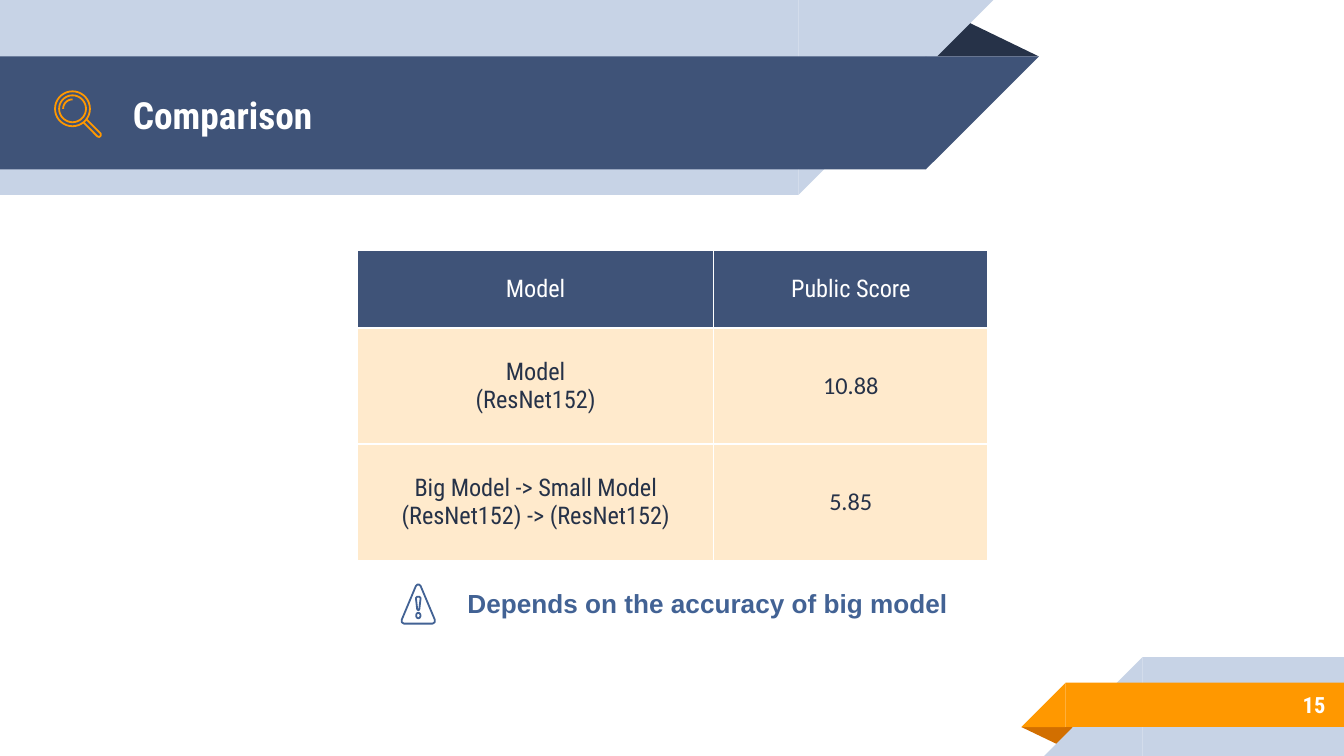
from math import cos, sin, radians
from lxml.etree import SubElement
from pptx import Presentation
from pptx.dml.color import RGBColor
from pptx.enum.shapes import MSO_SHAPE as Form
from pptx.enum.text import MSO_ANCHOR, PP_ALIGN
from pptx.oxml.ns import qn
from pptx.util import Emu, Inches, Pt

NAVY, DARK, PALE = "3F5378", "263248", "C7D3E6"
GOLD, RUST, CREAM = "FF9800", "D26F00", "FFEACC"
BLUE, WHITE = "426294", "FFFFFF"
HEAD, BODY, PLAIN = "Roboto Condensed", "Calibri", "Arial"


def tint(code):
    return RGBColor.from_string(code)


def unit(n):
    """One grid step is a hundredth of the slide's width."""
    return Emu(round(n * Inches(10) / 100))


def arc(x, y, rx, ry, start=0, end=360, step=10):
    return [(x + rx * cos(radians(a)), y + ry * sin(radians(a)))
            for a in range(start, end + 1, step)]


class Deck:
    def __init__(self, cols, rows):
        self.file = Presentation()
        self.file.slide_width, self.file.slide_height = unit(cols), unit(rows)
        self.slide = self.file.slides.add_slide(self.file.slide_layouts[6])
        self.shapes = self.slide.shapes

    def style(self, frame, font, size, color, bold=False, align=PP_ALIGN.LEFT):
        for para in frame.paragraphs:
            para.alignment = align
            for run in para.runs:
                run.font.name, run.font.size = font, Pt(size)
                run.font.bold, run.font.color.rgb = bold, tint(color)

    def shape(self, form, box, color, flip=False, turn=0, peak=None):
        item = self.shapes.add_shape(form, *map(unit, box))
        item.shadow.inherit = False
        item.fill.solid()
        item.fill.fore_color.rgb = tint(color)
        item.line.fill.background()
        item.rotation = turn
        if flip:
            item.element.spPr.xfrm.set("flipH", "1")
        if peak:
            item.adjustments[0] = peak

    def band(self, flat, slope, color, turn=0):
        """A bar with one slanted end."""
        self.shape(Form.RECTANGLE, flat, color, True, turn)
        self.shape(Form.RIGHT_TRIANGLE, slope, color, True, turn)

    def text(self, words, box, font, size, color, inset=1, **look):
        frame = self.shapes.add_textbox(*map(unit, box)).text_frame
        frame.word_wrap = True
        frame.vertical_anchor = MSO_ANCHOR.MIDDLE
        frame.margin_top = frame.margin_bottom = unit(inset)
        frame.text = words
        self.style(frame, font, size, color, True, **look)

    def draw(self, color, *parts, close=True):
        """One outline made of one or more point lists."""
        parts = [[(unit(x), unit(y)) for x, y in part] for part in parts]
        pen = self.shapes.build_freeform(*parts[0][0])
        for n, part in enumerate(parts):
            if n:
                pen.move_to(*part[0])
            pen.add_line_segments(part[1:], close=close)
        item = pen.convert_to_shape()
        item.shadow.inherit = False
        item.fill.background()
        item.line.color.rgb = tint(color)
        item.line.width = Pt(0.96)

    def edge(self, cell):
        props = cell._tc.get_or_add_tcPr()
        for n, side in enumerate(("lnL", "lnR", "lnT", "lnB")):
            line = props.makeelement(qn("a:" + side), {"w": str(Pt(1))})
            fill = SubElement(line, qn("a:solidFill"))
            SubElement(fill, qn("a:srgbClr")).set("val", WHITE)
            props.insert(n, line)

    def table(self, data, spot, cols, rows):
        grid = self.shapes.add_table(len(rows), len(cols), *map(
            unit, (*spot, sum(cols), sum(rows)))).table
        for col, wide in zip(grid.columns, cols):
            col.width = unit(wide)
        for row, tall in zip(grid.rows, rows):
            row.height = unit(tall)
        for r, line in enumerate(data):
            for c, words in enumerate(line):
                cell = grid.cell(r, c)
                cell.fill.solid()
                cell.fill.fore_color.rgb = tint(CREAM if r else NAVY)
                cell.vertical_anchor = MSO_ANCHOR.MIDDLE
                cell.margin_left = cell.margin_right = unit(1.1)
                cell.margin_top = cell.margin_bottom = unit(1.1)
                cell.text_frame.text = words
                self.style(cell.text_frame, BODY if r and c else HEAD, 13,
                           DARK if r else WHITE, align=PP_ALIGN.CENTER)
                self.edge(cell)


def main():
    deck = Deck(100, 56.25)

    # Title ribbon
    deck.shape(Form.ISOSCELES_TRIANGLE, (68.8, 1.4, 8.5, 2.8), DARK, peak=0.32)
    deck.band((0, 0, 59.4, 14.5), (59.4, 0, 14.5, 14.5), PALE, 180)
    deck.band((0, 4.2, 68.9, 8.4), (68.9, 4.2, 8.4, 8.4), NAVY, 180)

    # Page number ribbon
    deck.shape(Form.ISOSCELES_TRIANGLE, (76, 54.1, 4.3, 1.4), RUST,
               turn=180, peak=0.32)
    deck.band((85, 48.9, 15, 7.35), (77.7, 48.9, 7.3, 7.35), PALE)
    deck.band((79.3, 50.8, 20.7, 3.3), (76, 50.8, 3.3, 3.3), GOLD)

    deck.text("Comparison", (8.9, 4.3, 57.5, 8.4), HEAD, 20, WHITE)
    deck.text("15", (83.3, 50.7, 16.3, 3.5), HEAD, 12, WHITE,
              align=PP_ALIGN.RIGHT)

    # Magnifier
    deck.draw(GOLD, arc(5.4, 8.1, 1.3, 1.3))
    deck.draw(GOLD, arc(5.4, 8.1, 1, 1))
    deck.draw(GOLD, arc(5.4, 8.1, 0.7, 0.7, 180, 270), close=False)
    deck.draw(GOLD, [(6.2, 9.1), (7.25, 10.15), (7.4, 10.2), (7.5, 10.1),
                     (7.5, 9.95), (6.45, 8.9)], close=False)

    # Remark with warning sign
    deck.text("Depends on the accuracy of big model",
              (33.8, 43.2, 37.9, 3.4), PLAIN, 14, BLUE, inset=0.5)
    deck.draw(BLUE,
              [(32.35, 46.1), (31.3, 43.6), (31.2, 43.5), (31.05, 43.5),
               (30.95, 43.6), (29.9, 46.1), (29.9, 46.3), (30.05, 46.4),
               (32.2, 46.4), (32.35, 46.3)],
              arc(31.13, 45.8, 0.16, 0.2),
              [(31.3, 44.5), (31.2, 45.35), (31.13, 45.4), (31.05, 45.35),
               (30.95, 44.5), (31.05, 44.4), (31.2, 44.4)])

    # Scores
    deck.table([("Model", "Public Score"),
                ("Model\n(ResNet152)", "10.88"),
                ("Big Model -> Small Model\n(ResNet152) -> (ResNet152)",
                 "5.85")],
               (26.6, 18.65), (26.5, 20.4), (5.75, 8.65, 8.65))

    deck.file.save("out.pptx")


if __name__ == "__main__":
    main()
